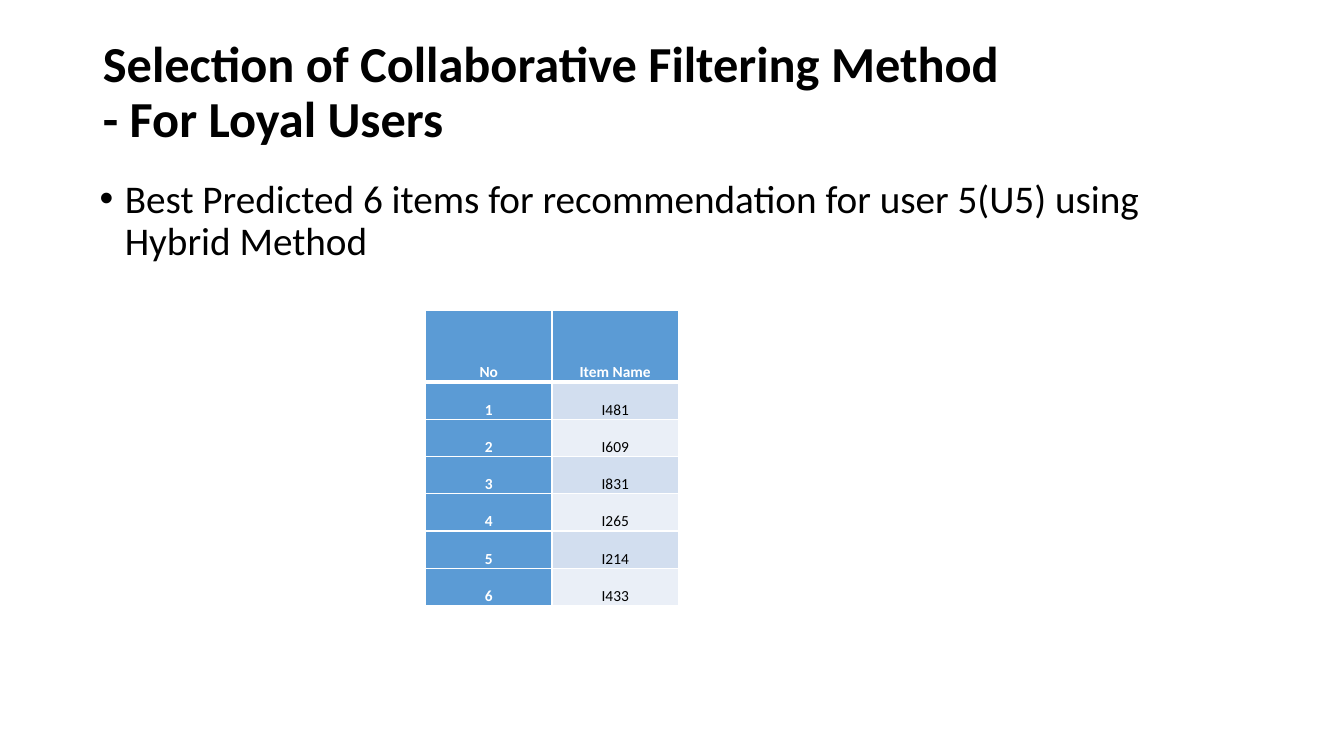
from dataclasses import dataclass

from lxml import etree
from pptx import Presentation
from pptx.dml.color import RGBColor
from pptx.enum.text import MSO_ANCHOR, MSO_AUTO_SIZE, PP_ALIGN
from pptx.oxml.ns import qn
from pptx.util import Inches, Pt

LEFT, CENTER = PP_ALIGN.LEFT, PP_ALIGN.CENTER
TOP, MIDDLE, BOTTOM = MSO_ANCHOR.TOP, MSO_ANCHOR.MIDDLE, MSO_ANCHOR.BOTTOM

# Content
TITLE = "Selection of Collaborative Filtering Method\v- For Loyal Users"
BULLET = ("Best Predicted 6 items for recommendation for user 5(U5) "
          "using Hybrid Method")
HEADER = ("No", "Item Name")
ITEMS = ["I481", "I609", "I831", "I265", "I214", "I433"]


@dataclass(frozen=True)
class Theme:
    font: str = "Calibri"
    title: int = 36
    body: int = 28
    cell: int = 11
    black: str = "000000"
    white: str = "FFFFFF"
    accent: str = "5B9BD5"
    bands: tuple = ("D2DEEF", "EAEFF7")


T = Theme()


def style(p, size, color, bold=False, align=LEFT, spacing=0.9):
    p.alignment, p.line_spacing = align, spacing
    f = p.font
    f.name, f.size, f.bold = T.font, Pt(size), bold
    f.color.rgb = RGBColor.from_string(color)


def border(cell, side, width):
    ln = etree.SubElement(cell._tc.get_or_add_tcPr(), qn(f"a:ln{side}"),
                          w=str(Pt(width)))
    fill = etree.SubElement(ln, qn("a:solidFill"))
    etree.SubElement(fill, qn("a:srgbClr"), val=T.white)


prs = Presentation()
prs.slide_width, prs.slide_height = Inches(13.33), Inches(7.5)
s = prs.slides.add_slide(prs.slide_layouts[5])

# Title, raised by a deeper bottom inset
sp = s.shapes.title
sp.left, sp.top, sp.width, sp.height = map(Inches, (0.92, 0.48, 11.5, 1.45))
tf = sp.text_frame
tf.text = TITLE
tf.auto_size, tf.vertical_anchor = MSO_AUTO_SIZE.NONE, MIDDLE
tf.margin_bottom = Inches(0.6)
style(tf.paragraphs[0], T.title, T.black, bold=True)

# Bullet
sp = s.shapes.add_textbox(*map(Inches, (0.89, 1.73, 11.5, 1.1)))
tf = sp.text_frame
tf.word_wrap, tf.vertical_anchor = True, TOP
p = tf.paragraphs[0]
p.text = BULLET
style(p, T.body, T.black)
p.space_before = Pt(10)
pPr = p._p.get_or_add_pPr()
pPr.set("marL", str(Inches(0.25)))
pPr.set("indent", str(-Inches(0.25)))
bullet_font = etree.Element(qn("a:buFont"), typeface="Arial")
bullet_char = etree.Element(qn("a:buChar"), char="•")
pPr.find(qn("a:defRPr")).addprevious(bullet_font)
bullet_font.addnext(bullet_char)

# Recommendation table
rows = [HEADER] + [(str(n), item) for n, item in enumerate(ITEMS, 1)]
table = s.shapes.add_table(len(rows), len(HEADER),
                           *map(Inches, (4.22, 3.08, 2.51, 2.93))).table
for r, row in enumerate(rows):
    table.rows[r].height = Inches(0.37 if r else 0.71)
    for c, text in enumerate(row):
        cell = table.cell(r, c)
        strong = r == 0 or c == 0
        cell.text = text
        cell.vertical_anchor = BOTTOM
        cell.margin_left = cell.margin_right = Inches(0.07)
        cell.margin_top = cell.margin_bottom = 0
        style(cell.text_frame.paragraphs[0], T.cell,
              T.white if strong else T.black, strong, CENTER, 1.07)
        for side in "LRTB":
            under_header = (r, side) in ((0, "B"), (1, "T"))
            border(cell, side, 3 if under_header else 1)
        cell.fill.solid()
        cell.fill.fore_color.rgb = RGBColor.from_string(
            T.accent if strong else T.bands[(r - 1) % 2])

prs.save("out.pptx")
